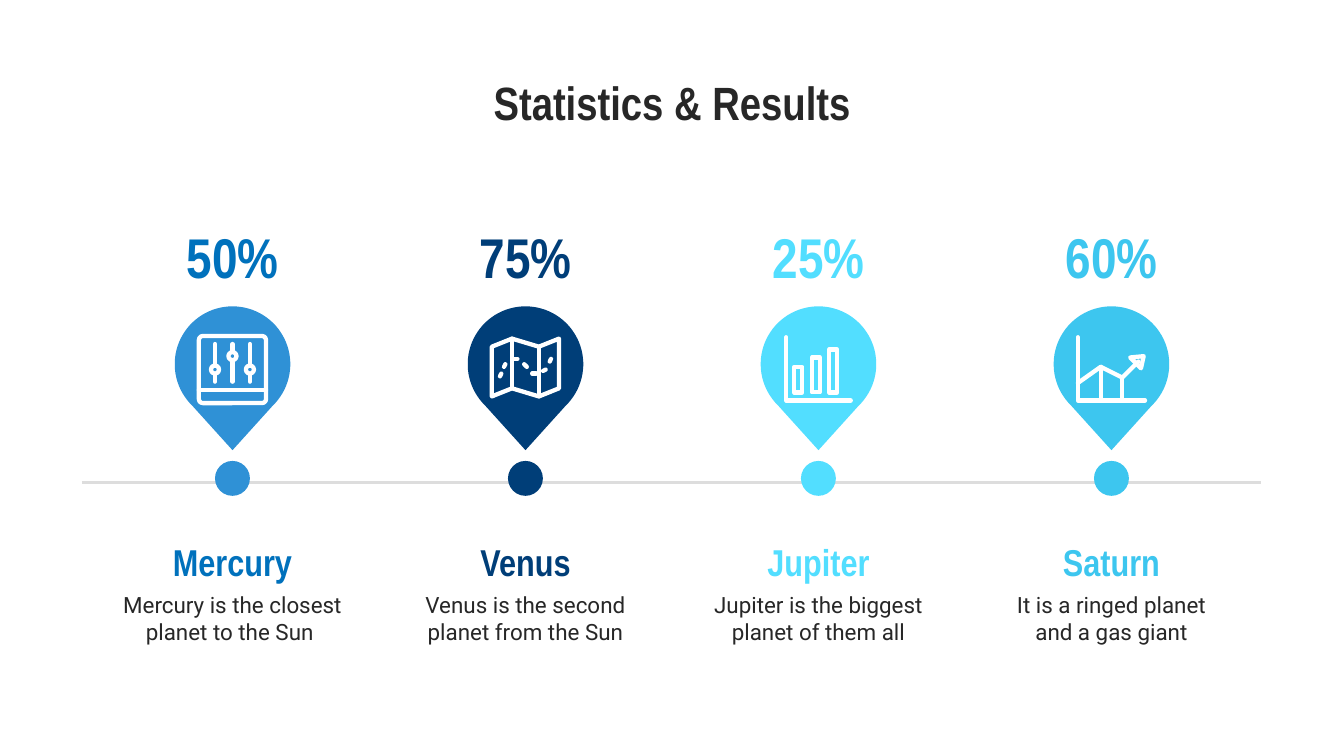
"""Build a four-column statistics slide with map pins on a timeline."""
from math import cos, radians, sin

from lxml import etree
from pptx import Presentation
from pptx.dml.color import RGBColor
from pptx.enum.shapes import MSO_CONNECTOR, MSO_SHAPE
from pptx.enum.text import MSO_ANCHOR, PP_ALIGN
from pptx.oxml.ns import qn
from pptx.util import Inches, Pt

OVAL = MSO_SHAPE.OVAL
ROUNDED = MSO_SHAPE.ROUNDED_RECTANGLE
STRAIGHT = MSO_CONNECTOR.STRAIGHT
CENTER = PP_ALIGN.CENTER
TOP, MIDDLE = MSO_ANCHOR.TOP, MSO_ANCHOR.MIDDLE

WIDTH = 10
HEIGHT = WIDTH * 9 / 16
FIRST_COLUMN, COLUMN_STEP = 1.73, 2.18
ROWS = {"title": 0.45, "percent": 1.78, "pin": 2.71, "tip": 3.35,
        "dot": 3.56, "line": 3.59, "name": 3.86, "note": 4.3}
PIN_RADIUS, DOT_RADIUS, KNOB_RADIUS = 0.43, 0.13, 0.03
STROKE = Pt(2.3)

COLORS = {"ink": "272727", "line": "DDDDDD", "white": "FFFFFF",
          "blue": "0071BC", "sky": "2F91D6", "navy": "003E78",
          "cyan": "52DEFF", "aqua": "3DC6EF"}
PALETTE = {name: RGBColor.from_string(value) for name, value in COLORS.items()}

FORMATS = {
    "title": {"name": "Arial Narrow", "size": Pt(25), "bold": True},
    "percent": {"name": "Arial Narrow", "size": Pt(30), "bold": True},
    "name": {"name": "Arial Narrow", "size": Pt(20), "bold": True},
    "note": {"name": "Roboto", "size": Pt(12), "bold": False},
}
BOXES = {"title": (9, 0.54, TOP, 1), "percent": (1.49, 0.25, MIDDLE, 1),
         "name": (1.64, 0.52, TOP, 1.15), "note": (1.92, 0.71, TOP, 1)}

PLANETS = [
    ("50%", "Mercury", "Mercury is the closest planet to the Sun ", "blue", "sky"),
    ("75%", "Venus", "Venus is the second planet from the Sun", "navy", "navy"),
    ("25%", "Jupiter", "Jupiter is the biggest planet of them all", "cyan", "cyan"),
    ("60%", "Saturn", "It is a ringed planet and a gas giant", "aqua", "aqua"),
]

KNOBS = [(-0.13, 2.75), (0, 2.65), (0.13, 2.75)]
SLIDERS = [[(-0.25, 2.9), (0.25, 2.9)]] + [
    [(x, 2.56), (x, 2.84)] for x, y in KNOBS]
MAP = [
    [(-0.25, 2.58), (-0.1, 2.52), (0.1, 2.58), (0.25, 2.52), (0.25, 2.89),
     (0.1, 2.95), (-0.1, 2.89), (-0.25, 2.95), (-0.25, 2.58)],
    [(-0.1, 2.52), (-0.1, 2.89)],
    [(0.1, 2.58), (0.1, 2.95)],
    [(-0.19, 2.8), (-0.18, 2.78)],
    [(-0.16, 2.73), (-0.15, 2.71)],
    [(-0.08, 2.67), (-0.06, 2.67)],
    [(-0.01, 2.71), (0.01, 2.73)],
    [(0.05, 2.78), (0.08, 2.78)],
    [(0.13, 2.76), (0.15, 2.75)],
    [(0.18, 2.69), (0.19, 2.67)],
]
BARS = [[(-0.24, 2.51), (-0.24, 2.98), (0.24, 2.98)]] + [
    [(x, top), (x + 0.06, top), (x + 0.06, 2.92), (x, 2.92), (x, top)]
    for x, top in [(-0.18, 2.73), (-0.05, 2.66), (0.08, 2.6)]]
TREND = [
    [(-0.25, 2.51), (-0.25, 2.98), (0.25, 2.98)],
    [(-0.25, 2.85), (-0.08, 2.73), (0.08, 2.81), (0.2, 2.69)],
    [(-0.08, 2.73), (-0.08, 2.98)],
    [(0.08, 2.81), (0.08, 2.98)],
    [(0.14, 2.66), (0.24, 2.65), (0.22, 2.74), (0.14, 2.66)],
]
ICONS = [SLIDERS, MAP, BARS, TREND]

presentation = Presentation()
presentation.slide_width, presentation.slide_height = Inches(WIDTH), Inches(HEIGHT)
slide = presentation.slides.add_slide(presentation.slide_layouts[6])
shapes = slide.shapes


def add_text(kind, text, center, color):
    """Add a centred text box of the given kind."""
    width, height, anchor, spacing = BOXES[kind]
    box = shapes.add_textbox(Inches(center - width / 2), Inches(ROWS[kind]),
                             Inches(width), Inches(height))
    frame = box.text_frame
    frame.word_wrap = True
    frame.vertical_anchor = anchor
    for side in ("left", "top", "right", "bottom"):
        setattr(frame, f"margin_{side}", Inches(0.1))
    paragraph = frame.paragraphs[0]
    paragraph.alignment, paragraph.line_spacing = CENTER, spacing
    run = paragraph.add_run()
    run.text = text
    for attribute, value in FORMATS[kind].items():
        setattr(run.font, attribute, value)
    run.font.color.rgb = PALETTE[color]


def paint(shape, fill=None, line=None):
    """Give a shape its fill and a round-capped outline, or none."""
    shape.shadow.inherit = False
    if fill:
        shape.fill.solid()
        shape.fill.fore_color.rgb = PALETTE[fill]
    else:
        shape.fill.background()
    if line:
        shape.line.color.rgb = PALETTE[line]
        shape.line.width = STROKE
        shape.line._get_or_add_ln().set("cap", "rnd")
    else:
        shape.line.fill.background()


add_text("title", "Statistics & Results", WIDTH / 2, "ink")

timeline = shapes.add_connector(STRAIGHT, Inches(0.61), Inches(ROWS["line"]),
                                Inches(9.38), Inches(ROWS["line"]))
timeline.line.color.rgb = PALETTE["line"]
timeline.line.width = Pt(1.5)
etree.SubElement(timeline._element.spPr, qn("a:effectLst"))

for column, (percent, name, note, text_color, pin_color) in enumerate(PLANETS):
    center = FIRST_COLUMN + column * COLUMN_STEP

    dot = shapes.add_shape(OVAL, Inches(center - DOT_RADIUS),
                           Inches(ROWS["dot"] - DOT_RADIUS),
                           Inches(2 * DOT_RADIUS), Inches(2 * DOT_RADIUS))
    paint(dot, fill=pin_color)

    outline = [(Inches(center + PIN_RADIUS * cos(radians(angle))),
                Inches(ROWS["pin"] + PIN_RADIUS * sin(radians(angle))))
               for angle in range(134, 407, 4)]
    builder = shapes.build_freeform(Inches(center), Inches(ROWS["tip"]))
    builder.add_line_segments(outline, close=True)
    paint(builder.convert_to_shape(), fill=pin_color)

    if column == 0:
        panel = shapes.add_shape(ROUNDED, Inches(center - 0.25), Inches(2.5),
                                 Inches(0.5), Inches(0.5))
        panel.adjustments[0] = 0.06
        paint(panel, line="white")

    for stroke in ICONS[column]:
        start, *others = [(Inches(center + x), Inches(y)) for x, y in stroke]
        builder = shapes.build_freeform(*start)
        builder.add_line_segments(others, close=False)
        paint(builder.convert_to_shape(), line="white")

    for x, y in KNOBS if column == 0 else []:
        knob = shapes.add_shape(OVAL, Inches(center + x - KNOB_RADIUS),
                                Inches(y - KNOB_RADIUS),
                                Inches(2 * KNOB_RADIUS), Inches(2 * KNOB_RADIUS))
        paint(knob, fill=pin_color, line="white")

    add_text("note", note, center, "ink")
    add_text("name", name, center, text_color)
    add_text("percent", percent, center, text_color)

presentation.save("out.pptx")
